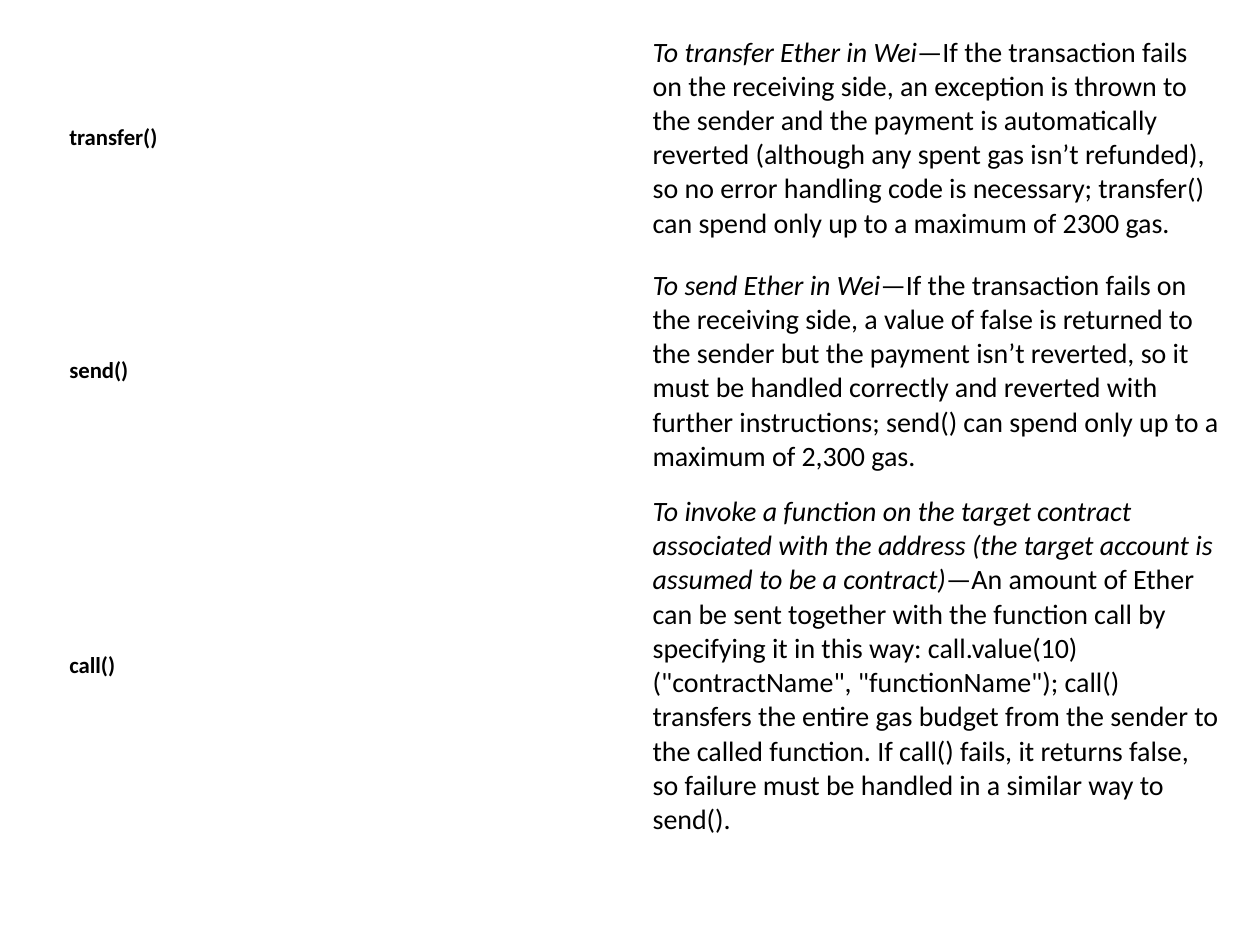
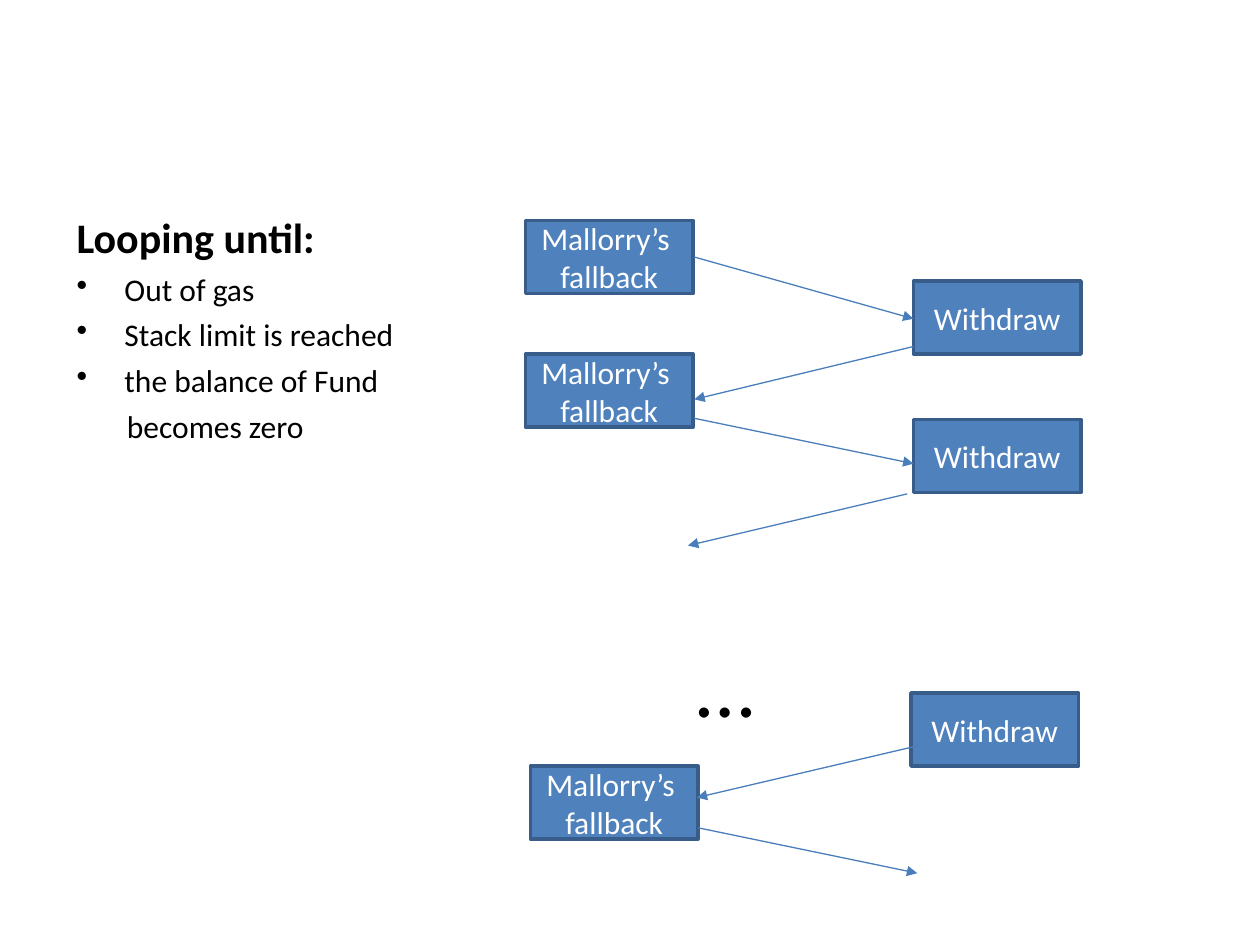
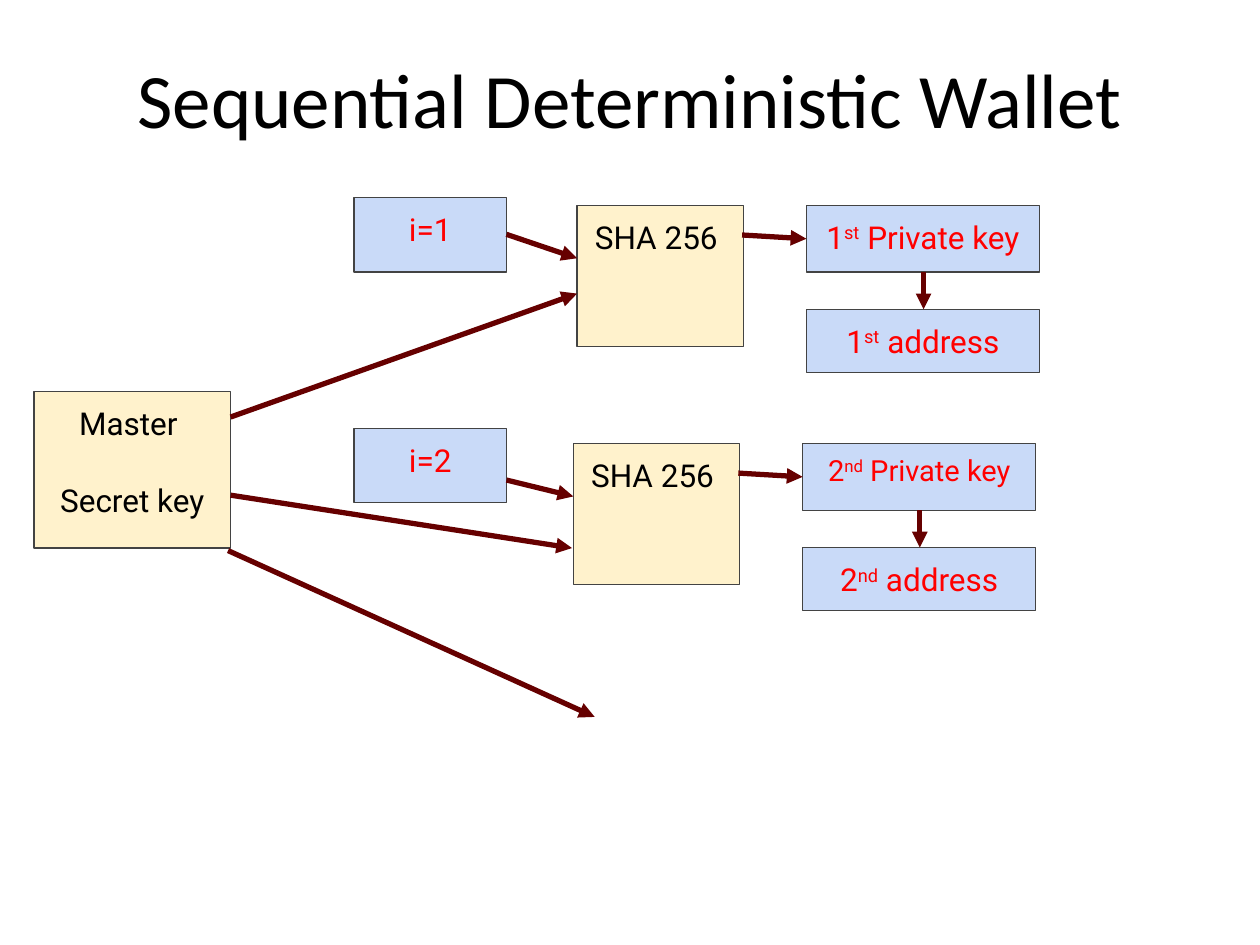
import dataclasses

import lxml.etree
import pptx
import pptx.dml.color
import pptx.enum.shapes
import pptx.enum.text
import pptx.oxml.ns
import pptx.util

CENTER = pptx.enum.text.PP_ALIGN.CENTER
MIDDLE = pptx.enum.text.MSO_ANCHOR.MIDDLE
TOP = pptx.enum.text.MSO_ANCHOR.TOP


@dataclasses.dataclass(frozen=True)
class Theme:
    black: str = "000000"
    white: str = "FFFFFF"
    red: str = "FF0000"
    blue: str = "4F81BD"
    blue_edge: str = "385D8A"
    blue_arrow: str = "4A7EBB"
    cream: str = "FFF2CC"
    pale_blue: str = "C9DAF8"
    gray_edge: str = "434343"
    maroon: str = "660000"
    body_font: str = "Calibri"
    diagram_font: str = "Roboto"
    title_size: float = 44
    heading_size: float = 24
    body_size: float = 18
    small_size: float = 16.6
    table_size: float = 16
    label_size: float = 13
    ellipsis_size: float = 48


THEME = Theme()
SUPERSCRIPT = {"baseline": 30000}

METHODS = [
    ("transfer()", "To transfer Ether in Wei",
     "—If the transaction fails on the receiving side, an exception is thrown to the sender "
     "and the payment is automatically reverted (although any spent gas isn’t refunded), so no "
     "error handling code is necessary; transfer() can spend only up to a maximum of 2300 gas."),
    ("send()", "To send Ether in Wei",
     "—If the transaction fails on the receiving side, a value of false is returned to the "
     "sender but the payment isn’t reverted, so it must be handled correctly and reverted with "
     "further instructions; send() can spend only up to a maximum of 2,300 gas."),
    ("call()", "To invoke a function on the target contract associated with the address "
     "(the target account is assumed to be a contract)",
     "—An amount of Ether can be sent together with the function call by specifying it in this "
     "way: call.value(10)(\"contractName\", \"functionName\"); call() transfers the entire gas "
     "budget from the sender to the called function. If call() fails, it returns false, so "
     "failure must be handled in a similar way to send()."),
]


def grid(*cells):
    """Lengths on a grid of 100 columns by 75 rows of square cells."""
    return [pptx.util.Inches(cell / 10) for cell in cells]


def rgb(color):
    return pptx.dml.color.RGBColor.from_string(color)


# Text
def format_run(run, size=THEME.body_size, color=THEME.black, font=THEME.body_font,
               bold=False, italic=False, baseline=0):
    run.font.size = pptx.util.Pt(size)
    run.font.color.rgb = rgb(color)
    run.font.name = font
    run.font.bold = bold
    run.font.italic = italic
    if baseline:
        run._r.get_or_add_rPr().set("baseline", str(baseline))


def write_text(frame, *runs, align=None, space_before=0, line_spacing=None,
               indent=0, bullet=None, **run_format):
    """Add one paragraph; a run is a string, or a string with its own format."""
    first = frame.paragraphs[0]
    paragraph = frame.add_paragraph() if first.runs else first
    properties = paragraph._p.get_or_add_pPr()
    if indent:
        margin = grid(indent)[0]
        properties.set("marL", str(margin))
        properties.set("indent", str(-margin if bullet else 0))
    if bullet:
        lxml.etree.SubElement(properties, pptx.oxml.ns.qn("a:buChar"), char=bullet)
    if align is not None:
        paragraph.alignment = align
    if line_spacing:
        paragraph.line_spacing = line_spacing
    paragraph.space_before = pptx.util.Pt(space_before)
    for run in runs:
        text, override = (run, {}) if isinstance(run, str) else run
        added = paragraph.add_run()
        added.text = text
        format_run(added, **{**run_format, **override})


def add_text_box(slide, *place, anchor=TOP):
    frame = slide.shapes.add_textbox(*grid(*place)).text_frame
    frame.word_wrap = True
    frame.vertical_anchor = anchor
    return frame


# Boxes and arrows
def add_box(slide, place, fill, edge, edge_width, anchor, vertical_inset):
    shape = slide.shapes.add_shape(pptx.enum.shapes.MSO_SHAPE.RECTANGLE, *grid(*place))
    shape.shadow.inherit = False
    shape.fill.solid()
    shape.fill.fore_color.rgb = rgb(fill)
    shape.line.color.rgb = rgb(edge)
    shape.line.width = pptx.util.Pt(edge_width)
    frame = shape.text_frame
    frame.word_wrap = True
    frame.vertical_anchor = anchor
    frame.margin_top, frame.margin_bottom = grid(vertical_inset, vertical_inset)
    return frame


def add_arrow(slide, start, end, color, width):
    connector = slide.shapes.add_connector(
        pptx.enum.shapes.MSO_CONNECTOR.STRAIGHT, *grid(*start, *end))
    connector.line.color.rgb = rgb(color)
    connector.line.width = pptx.util.Pt(width)
    qn = pptx.oxml.ns.qn
    lxml.etree.SubElement(connector.line._get_or_add_ln(), qn("a:tailEnd"), type="triangle")
    lxml.etree.SubElement(connector._element.spPr, qn("a:effectLst"))


def add_call_box(slide, left, top, *lines):
    frame = add_box(slide, (left, top, 13.3, 5.8), THEME.blue, THEME.blue_edge, 2, MIDDLE, 0.5)
    for line in lines:
        write_text(frame, line, align=CENTER, color=THEME.white)


def add_source_box(slide, place, *lines):
    frame = add_box(slide, place, THEME.cream, THEME.gray_edge, 0.75, TOP, 1)
    for number, line in enumerate(lines):
        write_text(frame, line, align=CENTER, font=THEME.diagram_font,
                   space_before=22 if number else 0)


def add_value_box(slide, place, *runs, **text_format):
    frame = add_box(slide, place, THEME.pale_blue, THEME.gray_edge, 0.75, TOP, 1)
    write_text(frame, *runs, align=CENTER, color=THEME.red, font=THEME.diagram_font,
               **text_format)


def add_key_arrow(slide, start, end):
    add_arrow(slide, start, end, THEME.maroon, 3)


def add_key_chain(slide, left, top, number, suffix, **key_format):
    """A hash box leading to a private key and, below that, its address."""
    ordinal = (number, (suffix, SUPERSCRIPT))
    key_left, key_middle = left + 18.2, left + 27.5
    add_source_box(slide, (left, top, 13.2, 11.2), "SHA 256 ")
    add_value_box(slide, (key_left, top, 18.5, 5.3), *ordinal, " Private key", **key_format)
    add_value_box(slide, (key_left, top + 8.25, 18.5, 5), *ordinal, " address")
    add_key_arrow(slide, (left + 13.1, top + 2.35), (key_left, top + 2.65))
    add_key_arrow(slide, (key_middle, top + 5.3), (key_middle, top + 8.25))


# Slides
def build_methods_slide(slide):
    row_heights = grid(18.5, 18.5, 28.3)
    table = slide.shapes.add_table(len(METHODS), 2, *grid(4.9, 1.7, 92.6, 65.3)).table
    table.first_row = table.horz_banding = False
    for row, height, (method, purpose, details) in zip(table.rows, row_heights, METHODS):
        row.height = height
        for cell in row.cells:
            cell.fill.background()
            cell.vertical_anchor = MIDDLE
            cell.margin_left, cell.margin_right = grid(0.6, 0.6)
        label, description = (cell.text_frame for cell in row.cells)
        write_text(label, method, size=THEME.label_size, bold=True)
        write_text(description, (purpose, {"italic": True}), details, size=THEME.table_size)


def build_loop_slide(slide):
    # Stop conditions
    frame = add_text_box(slide, 5.1, 16.3, 34, 20)
    write_text(frame, "Looping until:", size=THEME.heading_size, bold=True)
    for condition in ("Out of gas", "Stack limit is reached", "the balance of Fund"):
        write_text(frame, condition, space_before=4.5, indent=3.8, bullet="•")
    write_text(frame, "becomes zero", space_before=4.5, indent=4)
    write_text(add_text_box(slide, 54.3, 49.8, 8, 9), "…", size=THEME.ellipsis_size)

    # Alternating calls
    for left, top in ((41.7, 17.5), (41.7, 28.1), (42.1, 60.8)):
        add_call_box(slide, left, top, "Mallorry’s ", "fallback")
    for left, top in ((72.5, 22.3), (72.5, 33.3), (72.3, 55)):
        add_call_box(slide, left, top, "Withdraw")
    for start, end in (
            ((55.1, 20.4), (72.5, 25.3)), ((72.5, 27.5), (55.1, 31.7)),
            ((55.1, 33.2), (72.5, 36.8)), ((72, 39.2), (54.6, 43.3)),
            ((72.8, 59.2), (55.3, 63.3)), ((55.4, 65.7), (72.8, 69.3))):
        add_arrow(slide, start, end, THEME.blue_arrow, 0.75)


def build_wallet_slide(slide):
    title = add_text_box(slide, 5, 3, 90, 9.5, anchor=MIDDLE)
    write_text(title, "Sequential Deterministic Wallet", align=CENTER, size=THEME.title_size)

    # Inputs
    add_source_box(slide, (2.7, 31.1, 15.6, 12.4), "Master ", "Secret key")
    for text, top in (("i=1", 15.7), ("i=2", 34)):
        add_value_box(slide, (28.1, top, 12.1, 5.9), text)

    # Derived keys
    add_key_chain(slide, 45.8, 16.3, "1", "st")
    add_key_chain(slide, 45.5, 35.2, "2", "nd", size=THEME.small_size, line_spacing=0.9)

    # Inputs to hashes
    for start, end in (
            ((18.3, 33.1), (45.8, 23.3)), ((40.2, 18.6), (45.8, 20.5)),
            ((18.3, 39.3), (45.4, 43.5)), ((40.2, 38.1), (45.5, 39.4)),
            ((18.1, 43.7), (47.2, 56.9))):
        add_key_arrow(slide, start, end)


def main():
    presentation = pptx.Presentation()
    presentation.slide_width, presentation.slide_height = grid(100, 75)
    blank_layout = presentation.slide_layouts[6]
    for build in (build_methods_slide, build_loop_slide, build_wallet_slide):
        build(presentation.slides.add_slide(blank_layout))
    presentation.save("out.pptx")


if __name__ == "__main__":
    main()
